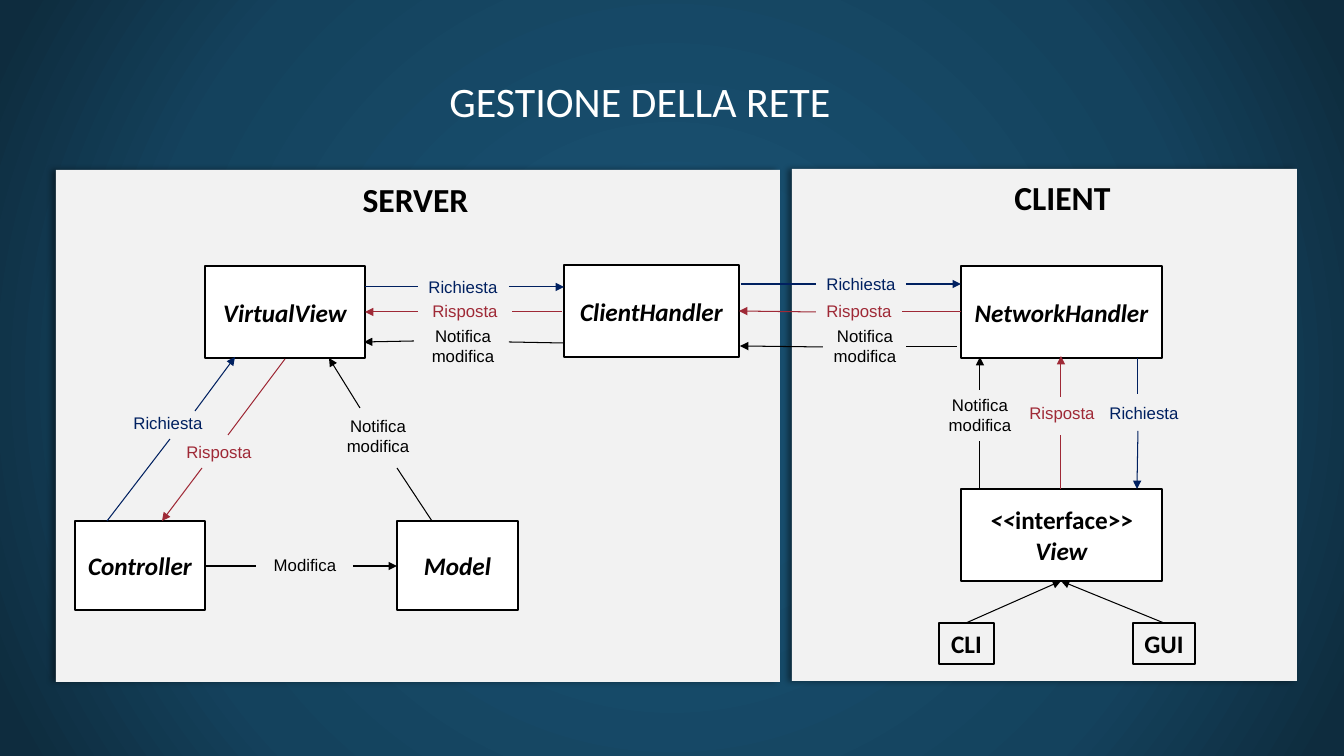
from pptx import Presentation
from pptx.dml.color import RGBColor
from pptx.enum.shapes import MSO_CONNECTOR, MSO_SHAPE
from pptx.enum.text import MSO_ANCHOR, PP_ALIGN
from pptx.oxml import parse_xml
from pptx.oxml.ns import nsdecls
from pptx.util import Pt

PX = 9144000 / 1008
COLORS = {"white": "FFFFFF", "black": "000000", "panel": "F2F2F2",
          "navy": "002060", "red": "9F2936"}
GLOW = [(0, "184E6E"), (23, "184E6E"), (69, "14425D"), (97, "0E2C3E")]
# Message name: label width, label height, colour
LABELS = {"Richiesta": (90, 30, "navy"), "Risposta": (86, 30, "red"),
          "Modifica": (84, 30, "black"), "Notifica\nmodifica": (84, 50, "black")}
NOTICE = "Notifica\nmodifica"


def px(*nums):
    return [round(n * PX) for n in nums]


def color(name):
    return RGBColor.from_string(COLORS[name])


def style(frame, size, font, ink, bold=False, italic=False):
    for para in frame.paragraphs:
        para.alignment = PP_ALIGN.CENTER
        para.font.size, para.font.name = Pt(size), font
        para.font.bold, para.font.italic = bold, italic
        para.font.color.rgb = color(ink)


def add_text(slide, text, box, size, font, ink, bold=False):
    frame = slide.shapes.add_textbox(*px(*box)).text_frame
    frame.word_wrap = False
    frame.text = text
    style(frame, size, font, ink, bold)


def add_rect(slide, box, fill=None):
    rect = slide.shapes.add_shape(MSO_SHAPE.RECTANGLE, *px(*box))
    rect.shadow.inherit = False
    if fill:
        rect.fill.solid()
        rect.fill.fore_color.rgb = color(fill)
    else:
        rect.fill.background()
    return rect


def add_panel(slide, x, y, wide, high):
    panel = add_rect(slide, (x, y, wide, high), "panel")
    panel.line.fill.background()
    effects = panel._element.spPr.find(
        "{http://schemas.openxmlformats.org/drawingml/2006/main}effectLst")
    effects.append(parse_xml(
        f'<a:outerShdw {nsdecls("a")} blurRad="50800" dist="38100" dir="10800000">'
        f'<a:srgbClr val="{COLORS["black"]}"><a:alpha val="40000"/></a:srgbClr>'
        '</a:outerShdw>'))


def add_node(slide, text, box, fill="white", italic=True):
    node = add_rect(slide, box, fill)
    node.line.color.rgb = color("black")
    node.line.width = Pt(1.5)
    frame = node.text_frame
    frame.text = text
    frame.word_wrap = False
    frame.vertical_anchor = MSO_ANCHOR.MIDDLE
    style(frame, 18, "Calibri", "black", True, italic)
    return frame


def add_line(slide, start, end, ink, arrow=False):
    line = slide.shapes.add_connector(MSO_CONNECTOR.STRAIGHT, *px(*start, *end))
    line.line.color.rgb = color(ink)
    line.line.width = Pt(0.75)
    if arrow:
        line.line._get_or_add_ln().append(
            parse_xml(f'<a:tailEnd {nsdecls("a")} type="triangle"/>'))
    line._element.spPr.append(parse_xml(f'<a:effectLst {nsdecls("a")}/>'))


def add_flows(slide, x, y, flows):
    """Draw messages as arrows broken by a label, all relative to x, y."""
    for name, (left, top), points in flows:
        wide, high, ink = LABELS[name]
        start, stop, resume, end = [(x + a, y + b) for a, b in points]
        add_line(slide, start, stop, ink)
        add_line(slide, resume, end, ink, arrow=True)
        add_text(slide, name, (x + left, y + top, wide, high), 12, "Arial", ink)


def level(y, *xs):
    return [(x, y) for x in xs]


def draw_server(slide, x, y):
    add_panel(slide, x, y, 724, 512)
    add_text(slide, "SERVER", (x + 288, y + 4, 143, 50), 24, "Calibri", "black", True)
    for name, left, top, wide, high in [
            ("Model", 341, 351, 121, 89), ("Controller", 19, 351, 130, 89),
            ("VirtualView", 149, 96, 160, 92), ("ClientHandler", 508, 95, 175, 92)]:
        add_node(slide, name, (x + left, y + top, wide, high))
    add_flows(slide, x, y, [
        ("Richiesta", (67, 238), [(51, 351), (114, 269), (139, 241), (179, 187)]),
        ("Risposta", (120, 267), [(229, 189), (172, 265), (146, 298), (106, 351)]),
        ("Modifica", (207, 380), level(396, 150, 200, 297, 341)),
        (NOTICE, (280, 241), [(376, 351), (341, 298), (304, 238), (273, 188)]),
        ("Richiesta", (362, 102), level(117, 309, 362, 453, 508)),
        ("Risposta", (366, 126), level(142, 506, 456, 362, 309)),
        (NOTICE, (365, 151), [(508, 173), (453, 172), (358, 171), (308, 172)])])


def draw_client(slide, x, y):
    add_panel(slide, x, y, 505, 512)
    add_text(slide, "CLIENT", (x + 205, y + 3, 131, 50), 24, "Calibri", "black", True)
    add_node(slide, "NetworkHandler", (x + 169, y + 97, 201, 92))
    frame = add_node(slide, "<<\nView", (x + 169, y + 320, 201, 92))
    run = frame.paragraphs[0].add_run()
    run.text, run.font.italic = "interface>>", False
    for name, left, wide in [("CLI", 147, 55), ("GUI", 341, 62)]:
        add_node(slide, name, (x + left, y + 454, wide, 41), None, False)
        add_line(slide, (x + left + wide // 2, y + 454), (x + 269, y + 412),
                 "black", arrow=True)
    add_flows(slide, x, y, [
        (NOTICE, (146, 221), [(188, 320), (188, 272), (188, 221), (188, 188)]),
        ("Risposta", (227, 229), [(269, 320), (269, 266), (269, 228), (269, 187)]),
        ("Richiesta", (307, 229), [(346, 189), (346, 225), (346, 262), (345, 320)])])


def draw_net(slide, x, y):
    """Draw the messages that cross from one panel to the other."""
    add_flows(slide, x, y, [
        ("Richiesta", (77, 4), level(19, 2, 77, 167, 222)),
        ("Risposta", (77, 31), [(222, 47), (163, 47), (77, 47), (0, 46)]),
        (NOTICE, (84, 56), [(218, 82), (167, 82), (84, 82), (1, 81)])])


def draw_title(slide, box):
    title = slide.shapes.title
    title.left, title.top, title.width, title.height = px(*box)
    frame = title.text_frame
    frame.text = "GESTIONE DELLA RETE"
    frame.vertical_anchor = MSO_ANCHOR.MIDDLE
    style(frame, 30, "Calibri", "white")


def paint_back(slide):
    stops = "".join(f'<a:gs pos="{pos * 1000}"><a:srgbClr val="{tone}"/></a:gs>'
                    for pos, tone in GLOW)
    slide._element.cSld.insert(0, parse_xml(
        f'<p:bg {nsdecls("p", "a")}><p:bgPr><a:gradFill rotWithShape="1">'
        f'<a:gsLst>{stops}</a:gsLst><a:path path="circle">'
        '<a:fillToRect l="50000" t="50000" r="50000" b="50000"/></a:path>'
        '</a:gradFill><a:effectLst/></p:bgPr></p:bg>'))


def main():
    deck = Presentation()
    deck.slide_width, deck.slide_height = px(1344, 756)
    slide = deck.slides.add_slide(deck.slide_layouts[5])
    paint_back(slide)
    draw_title(slide, (88, 31, 1104, 139))
    draw_server(slide, 56, 170)
    draw_client(slide, 792, 169)
    draw_net(slide, 739, 265)
    deck.save("out.pptx")


if __name__ == "__main__":
    main()
